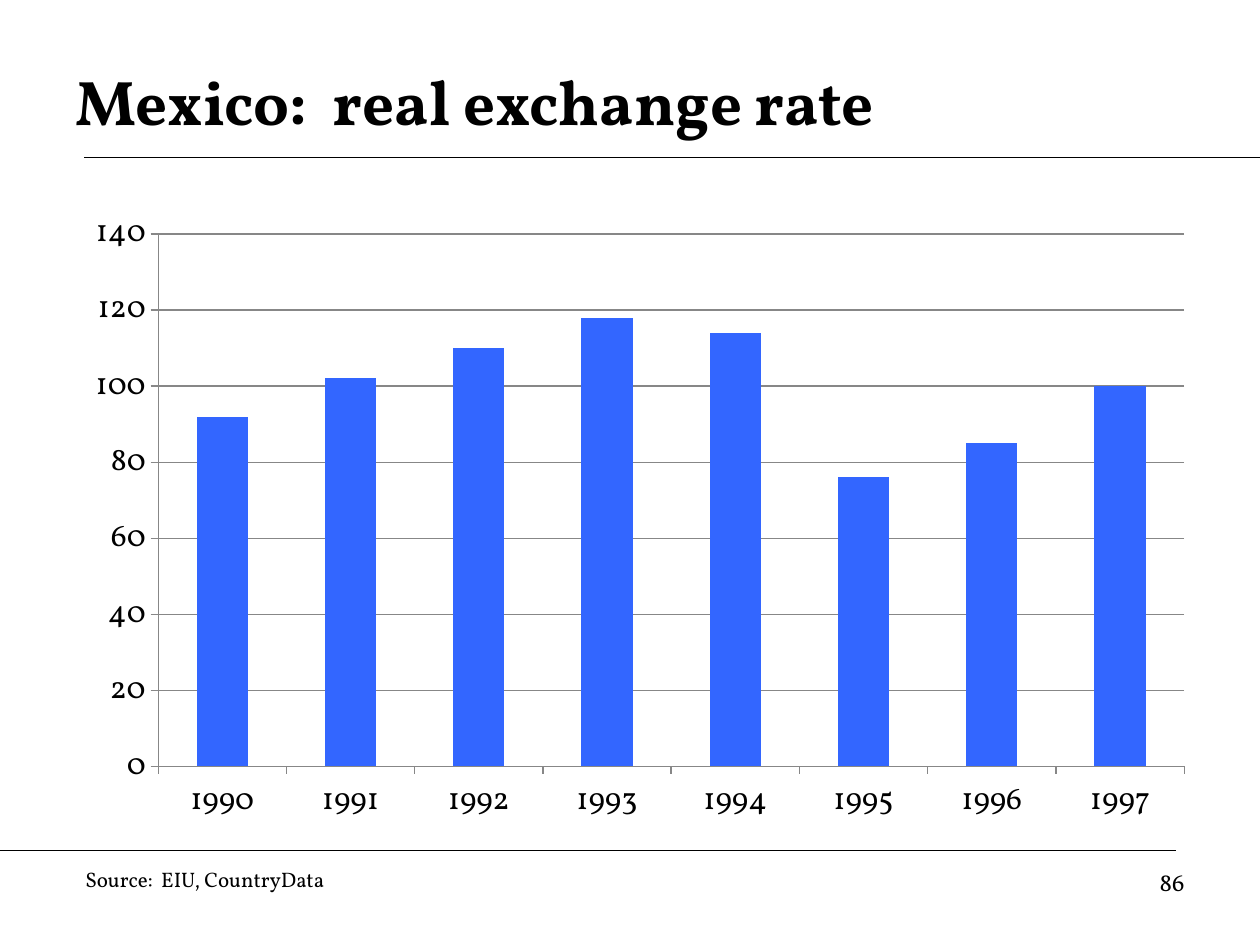
from dataclasses import dataclass

from lxml import etree
from pptx import Presentation
from pptx import util as u
from pptx.chart.data import CategoryChartData
from pptx.dml.color import RGBColor
from pptx.enum import chart as ch
from pptx.enum import shapes, text
from pptx.oxml.ns import qn

FONT = "Vollkorn"
BLACK, GRID, BAR = "000000", "878787", "3366FF"
SLIDE_W, SLIDE_H = 25.4, 19.05
MARGIN = 1.7
FOOTER_TOP = 17.35


@dataclass
class Rule:
    x1: float
    x2: float
    y: float


@dataclass
class Label:
    content: str
    left: float
    width: float
    height: float
    size: int
    align: text.PP_ALIGN


RULES = [Rule(MARGIN, SLIDE_W, 3.18), Rule(0, SLIDE_W - MARGIN, 17.15)]
LABELS = [
    Label("86", 18.21, 5.92, 1.32, 14, text.PP_ALIGN.RIGHT),
    Label("Source:  EIU, CountryData", 1.47, 12.27, 0.76, 12, text.PP_ALIGN.LEFT),
]
RATES = {"1990": 92, "1991": 102, "1992": 110, "1993": 118,
         "1994": 114, "1995": 76, "1996": 85, "1997": 100}


def rgb(value: str) -> RGBColor:
    return RGBColor.from_string(value)


def style_font(font, size: int, bold: bool = False) -> None:
    font.name, font.size, font.bold = FONT, u.Pt(size), bold
    font.color.rgb = rgb(BLACK)


def style_line(line, color: str) -> None:
    line.color.rgb = rgb(color)
    line.width = u.Pt(0.75)


def add_rule(s, rule: Rule) -> None:
    sp = s.shapes.add_connector(shapes.MSO_CONNECTOR.STRAIGHT, u.Cm(rule.x1),
                                u.Cm(rule.y), u.Cm(rule.x2), u.Cm(rule.y))
    style_line(sp.line, BLACK)
    etree.SubElement(sp._element.spPr, qn("a:effectLst"))


def add_label(s, label: Label) -> None:
    sp = s.shapes.add_textbox(u.Cm(label.left), u.Cm(FOOTER_TOP),
                              u.Cm(label.width), u.Cm(label.height))
    tf = sp.text_frame
    tf.word_wrap = True
    tf.text = label.content
    p = tf.paragraphs[0]
    p.alignment = label.align
    style_font(p.runs[0].font, label.size)


def set_title(s, content: str) -> None:
    sp = s.shapes.title
    sp.left, sp.top = u.Cm(1.27), u.Cm(0.85)
    sp.width, sp.height = u.Cm(22.86), u.Cm(2.33)
    tf = sp.text_frame
    tf.text = content
    tf.auto_size = text.MSO_AUTO_SIZE.NONE
    tf.vertical_anchor = text.MSO_ANCHOR.MIDDLE
    p = tf.paragraphs[0]
    p.alignment = text.PP_ALIGN.LEFT
    style_font(p.runs[0].font, 36, bold=True)


def add_rate_chart(s) -> None:
    data = CategoryChartData()
    data.categories = list(RATES)
    data.add_series("Series 1", list(RATES.values()))
    chart = s.shapes.add_chart(ch.XL_CHART_TYPE.COLUMN_CLUSTERED, u.Cm(1.47), u.Cm(4.01),
                               u.Cm(22.86), u.Cm(12.85), data).chart
    chart.has_legend = chart.has_title = False
    style_font(chart.font, 18)

    # Bars
    plot = chart.plots[0]
    plot.gap_width = 150
    plot.vary_by_categories = False
    fill = plot.series[0].format.fill
    fill.solid()
    fill.fore_color.rgb = rgb(BAR)

    # Axes
    for axis in (chart.category_axis, chart.value_axis):
        axis.major_tick_mark = ch.XL_TICK_MARK.OUTSIDE
        axis.minor_tick_mark = ch.XL_TICK_MARK.NONE
        style_line(axis.format.line, GRID)
    axis = chart.value_axis
    axis.minimum_scale, axis.maximum_scale, axis.major_unit = 0, 140, 20
    axis.has_major_gridlines = True
    style_line(axis.major_gridlines.format.line, GRID)


def main() -> None:
    prs = Presentation()
    prs.slide_width, prs.slide_height = u.Cm(SLIDE_W), u.Cm(SLIDE_H)
    s = prs.slides.add_slide(prs.slide_layouts[5])  # title only

    # Rules above and below the content
    for rule in RULES:
        add_rule(s, rule)

    # Title, footer and chart
    set_title(s, "Mexico:  real exchange rate")
    for label in LABELS:
        add_label(s, label)
    add_rate_chart(s)

    prs.save("out.pptx")


if __name__ == "__main__":
    main()
